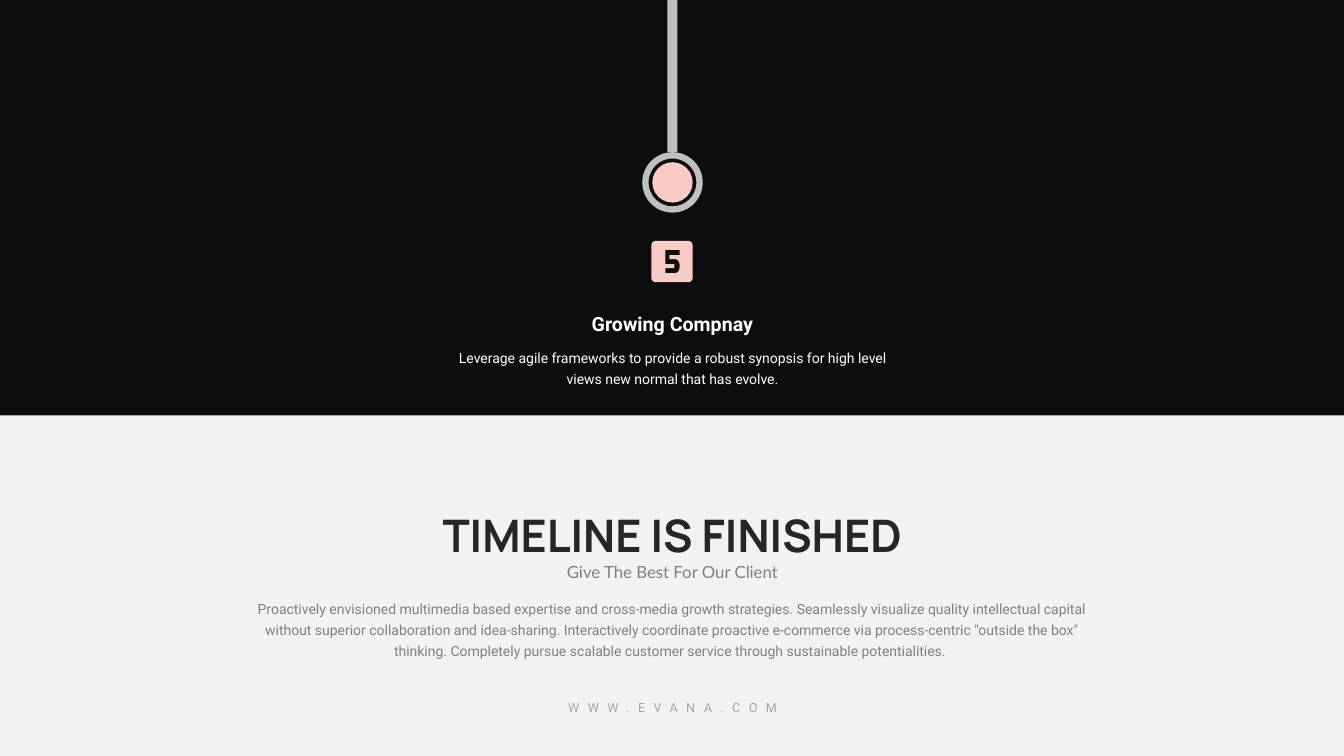
from math import cos, radians, sin

from pptx import Presentation
from pptx.dml.color import RGBColor
from pptx.enum.shapes import MSO_SHAPE
from pptx.enum.text import MSO_ANCHOR, PP_ALIGN
from pptx.util import Inches, Pt

COLORS = {
    "black": "0D0D0D",
    "silver": "BFBFBF",
    "pink": "F9CBC7",
    "light": "F2F2F2",
    "white": "FFFFFF",
    "title": "262626",
    "gray": "808080",
    "pale_gray": "A6A6A6",
}
SLIDE_WIDTH, SLIDE_HEIGHT = 13.33, 7.5


def paint(shape, color):
    shape.shadow.inherit = False
    shape.fill.solid()
    shape.fill.fore_color.rgb = RGBColor.from_string(COLORS[color])
    shape.line.fill.background()


def add_block(slide, kind, left, top, width, height, color):
    shape = slide.shapes.add_shape(
        kind, Inches(left), Inches(top), Inches(width), Inches(height))
    paint(shape, color)
    return shape


def add_label(slide, left, top, width, height, text, font_name, size, color,
              bold=False, line_spacing=None, letter_spacing=None,
              anchor=MSO_ANCHOR.TOP):
    box = slide.shapes.add_textbox(
        Inches(left), Inches(top), Inches(width), Inches(height))
    frame = box.text_frame
    frame.word_wrap = True
    frame.vertical_anchor = anchor
    frame.margin_left = frame.margin_right = 0
    frame.margin_top = frame.margin_bottom = 0
    frame.text = text
    paragraph = frame.paragraphs[0]
    paragraph.alignment = PP_ALIGN.CENTER
    if line_spacing:
        paragraph.line_spacing = Pt(line_spacing)
    run = paragraph.runs[0]
    run.font.name = font_name
    run.font.size = Pt(size)
    run.font.bold = bold
    run.font.color.rgb = RGBColor.from_string(COLORS[color])
    if letter_spacing:
        run.font._element.set("spc", str(letter_spacing * 100))


def arc(center_x, center_y, radius, start, sweep):
    """Points of a quarter turn, angles clockwise from the right."""
    angles = [radians(start + sweep * step / 8) for step in range(9)]
    return [(center_x + radius * cos(angle), center_y + radius * sin(angle))
            for angle in angles]


def add_number_five(slide, left, top, size, color):
    radius = 0.045
    near, far = radius, size - radius
    square = (arc(far, near, radius, -90, 90) + arc(far, far, radius, 0, 90)
              + arc(near, far, radius, 90, 90) + arc(near, near, radius, 180, 90))
    # The digit runs the other way round, so that it is cut out
    digit = ([(0.28, 0.14), (0.28, 0.09), (0.14, 0.09), (0.14, 0.23),
              (0.23, 0.23), (0.23, 0.27), (0.14, 0.27), (0.14, 0.32)]
             + arc(0.23, 0.27, 0.05, 90, -90) + arc(0.23, 0.23, 0.05, 0, -90)
             + [(0.18, 0.18), (0.18, 0.14)])
    outlines = [[(Inches(left + x), Inches(top + y)) for x, y in outline]
                for outline in (square, digit)]
    builder = slide.shapes.build_freeform(*outlines[0][0], scale=1.0)
    builder.add_line_segments(outlines[0][1:], close=True)
    builder.move_to(*outlines[1][0])
    builder.add_line_segments(outlines[1][1:], close=True)
    paint(builder.convert_to_shape(), color)


def main():
    presentation = Presentation()
    presentation.slide_width = Inches(SLIDE_WIDTH)
    presentation.slide_height = Inches(SLIDE_HEIGHT)
    slide = presentation.slides.add_slide(presentation.slide_layouts[6])

    # Dark backdrop and end of the timeline
    add_block(slide, MSO_SHAPE.RECTANGLE, 0, 0, SLIDE_WIDTH, SLIDE_HEIGHT, "black")
    add_block(slide, MSO_SHAPE.RECTANGLE, 6.62, 0, 0.1, 1.51, "silver")
    add_block(slide, MSO_SHAPE.OVAL, 6.47, 1.61, 0.4, 0.4, "pink")
    ring = add_block(slide, MSO_SHAPE.DONUT, 6.37, 1.51, 0.6, 0.6, "silver")
    ring.adjustments[0] = 0.105

    # Fifth step
    add_number_five(slide, 6.46, 2.39, 0.41, "pink")
    add_label(slide, 4.53, 3.09, 4.28, 0.24, "Growing Compnay",
              "Roboto", 14, "white", bold=True)
    add_label(slide, 4.53, 3.43, 4.28, 0.4,
              "Leverage agile frameworks to provide a robust synopsis for high "
              "level views new normal that has evolve.",
              "Roboto", 10, "white", line_spacing=15)

    # Closing panel
    add_block(slide, MSO_SHAPE.RECTANGLE, 0, 4.12, SLIDE_WIDTH, 3.38, "light")
    add_label(slide, 2.5, 5.92, 8.32, 0.61,
              "Proactively envisioned multimedia based expertise and cross-media "
              "growth strategies. Seamlessly visualize quality intellectual "
              "capital without superior collaboration and idea-sharing. "
              "Interactively coordinate proactive e-commerce via process-centric "
              "\"outside the box\" thinking. Completely pursue scalable customer "
              "service through sustainable potentialities. ",
              "Roboto", 10, "gray", line_spacing=15)
    add_label(slide, 3.05, 5.08, 7.24, 0.49, "TIMELINE IS FINISHED",
              "Manrope", 32, "title", bold=True, line_spacing=35,
              anchor=MSO_ANCHOR.MIDDLE)
    add_label(slide, 4.56, 5.57, 4.22, 0.2, "Give The Best For Our Client",
              "Lato", 12, "gray")
    add_label(slide, 5.37, 6.94, 2.6, 0.15, "WWW.EVANA.COM",
              "Roboto", 9, "pale_gray", letter_spacing=6)

    presentation.save("out.pptx")


if __name__ == "__main__":
    main()
